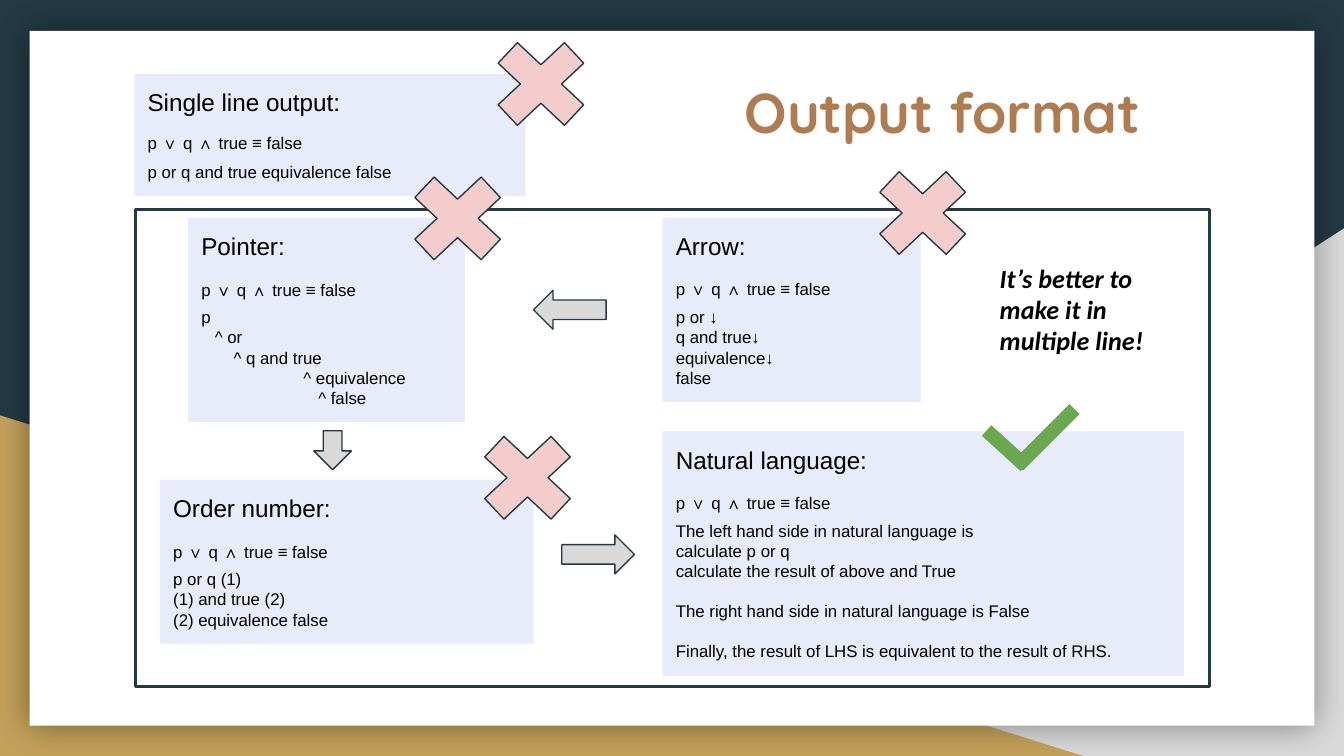
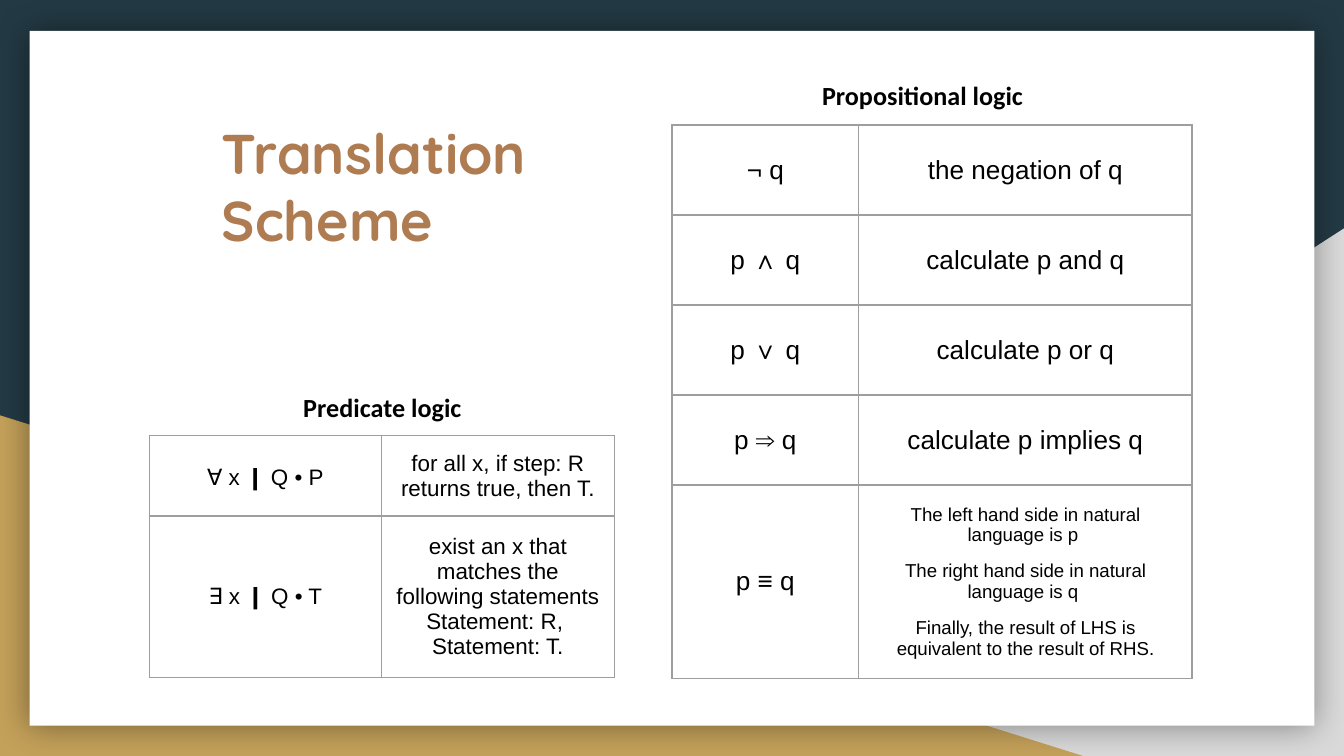
from dataclasses import dataclass
from typing import Optional

import pptx
import pptx.dml.color
import pptx.enum.shapes
import pptx.enum.text
import pptx.oxml
import pptx.oxml.ns
import pptx.util

Inches = pptx.util.Inches
Pt = pptx.util.Pt
Shape = pptx.enum.shapes.MSO_SHAPE
Align = pptx.enum.text.PP_ALIGN
Anchor = pptx.enum.text.MSO_ANCHOR

PAGE_WIDTH = 10
PAGE_HEIGHT = PAGE_WIDTH * 9 / 16
NAVY, GOLD, GREY, WHITE, BLACK = "233A44", "C4A15A", "D9D9D9", "FFFFFF", "000000"
BROWN, LILAC, PINK, GREEN, BORDER = "AF7B51", "E8EBFA", "F4CCCC", "6AA84F", "9E9E9E"
FORMULA = "p ∨ q ∧ true ≡ false"


@dataclass
class Font:
    name: str
    size: float
    color: str = BLACK
    bold: bool = False
    italic: bool = False


@dataclass
class Line:
    text: str
    font: Font
    before: float = 0
    spacing: float = 1
    indent: float = 0


@dataclass
class Box:
    left: float
    top: float
    width: float
    height: float

    def lengths(self) -> list:
        return [Inches(v) for v in (self.left, self.top, self.width, self.height)]


@dataclass
class Card:
    box: Box
    heading: str
    details: list  # (text, indent in inches, space before in points)
    formula_gap: float = 8.5


@dataclass
class Grid:
    caption: str
    caption_box: Box
    left: float
    top: float
    columns: list
    heights: list
    font: Font
    rows: list  # each cell is a list of lines of text


TITLE = Font("Quicksand", 30, BROWN, bold=True)
HEADING = Font("Arial", 13)
DETAIL = Font("Arial", 9)
CAPTION = Font("Calibri", 14, bold=True)
REMARK = Font("Calibri", 14, bold=True, italic=True)
SMALL = Font("Arial", 10)


def rgb(color: str):
    return pptx.dml.color.RGBColor.from_string(color)


# Text
def write(frame, lines: list, align=Align.LEFT) -> None:
    for number, line in enumerate(lines):
        para = frame.paragraphs[0] if number == 0 else frame.add_paragraph()
        para.alignment = align
        para.space_before = Pt(line.before)
        para.line_spacing = line.spacing
        if line.indent:
            para._p.get_or_add_pPr().set("marL", str(Inches(line.indent)))
        span = para.add_run()
        span.text = line.text
        font = span.font
        font.name, font.size = line.font.name, Pt(line.font.size)
        font.bold, font.italic = line.font.bold, line.font.italic
        font.color.rgb = rgb(line.font.color)


def set_frame(frame) -> None:
    frame.word_wrap = True
    frame.auto_size = pptx.enum.text.MSO_AUTO_SIZE.NONE
    frame.vertical_anchor = Anchor.TOP
    frame.margin_left = frame.margin_right = Inches(0.1)
    frame.margin_top = frame.margin_bottom = Inches(0.1)


def add_text(page, box: Box, lines: list, align=Align.LEFT) -> None:
    frame = page.shapes.add_textbox(*box.lengths()).text_frame
    set_frame(frame)
    write(frame, lines, align)


def set_title(page, box: Box, text: str) -> None:
    title = page.shapes.title
    title.left, title.top, title.width, title.height = box.lengths()
    set_frame(title.text_frame)
    write(title.text_frame, [Line(text, TITLE)])


# Shapes
def add_shape(page, kind, box: Box, fill: Optional[str] = None,
              line_width: float = 0, rotation: float = 0):
    shape = page.shapes.add_shape(kind, *box.lengths())
    shape.shadow.inherit = False
    shape.rotation = rotation
    if fill:
        shape.fill.solid()
        shape.fill.fore_color.rgb = rgb(fill)
    else:
        shape.fill.background()
    if line_width:
        shape.line.color.rgb = rgb(NAVY)
        shape.line.width = Pt(line_width)
    else:
        shape.line.fill.background()
    return shape


def add_card(page, card: Card) -> None:
    frame = add_shape(page, Shape.RECTANGLE, card.box, LILAC).text_frame
    set_frame(frame)
    lines = [Line(card.heading, HEADING), Line(FORMULA, DETAIL, card.formula_gap, 1.15)]
    lines += [Line(text, DETAIL, before, indent=indent)
              for text, indent, before in card.details]
    write(frame, lines)


# Backdrop shared by all slides, kept in the layout
def build_backdrop(layout, page) -> None:
    layout.background.fill.solid()
    layout.background.fill.fore_color.rgb = rgb(NAVY)
    right = add_shape(page, Shape.RIGHT_TRIANGLE,
                      Box(3.92, 1.7, 6.08, PAGE_HEIGHT - 1.7), GREY)
    right._element.spPr.find(pptx.oxml.ns.qn("a:xfrm")).set("flipH", "1")
    left = add_shape(page, Shape.RIGHT_TRIANGLE,
                     Box(0, 3.09, 8.06, PAGE_HEIGHT - 3.09), GOLD)
    sheet = add_shape(page, Shape.RECTANGLE, Box(0.22, 0.23, 9.56, 5.17), WHITE)
    effects = sheet._element.spPr.find(pptx.oxml.ns.qn("a:effectLst"))
    effects.append(pptx.oxml.parse_xml(
        f'<a:outerShdw {pptx.oxml.ns.nsdecls("a")} blurRad="{Pt(18)}" dist="0">'
        f'<a:srgbClr val="{BLACK}"><a:alpha val="40000"/></a:srgbClr></a:outerShdw>'))
    for number, shape in enumerate((right, left, sheet)):
        shape._element.nvSpPr.cNvPr.set("id", str(100 + number))
        layout.shapes._spTree.insert(2 + number, shape._element)


# Tables
def set_borders(cell) -> None:
    properties = cell._tc.get_or_add_tcPr()
    for number, side in enumerate(("lnL", "lnR", "lnT", "lnB")):
        properties.insert(number, pptx.oxml.parse_xml(
            f'<a:{side} {pptx.oxml.ns.nsdecls("a")} w="{Pt(0.75)}"><a:solidFill>'
            f'<a:srgbClr val="{BORDER}"/></a:solidFill></a:{side}>'))


def add_grid(page, grid: Grid) -> None:
    add_text(page, grid.caption_box, [Line(grid.caption, CAPTION)], Align.CENTER)
    box = Box(grid.left, grid.top, sum(grid.columns), sum(grid.heights))
    table = page.shapes.add_table(
        len(grid.rows), len(grid.columns), *box.lengths()).table
    table.first_row = table.horz_banding = False
    for column, width in zip(table.columns, grid.columns):
        column.width = Inches(width)
    for row, height, texts in zip(table.rows, grid.heights, grid.rows):
        row.height = Inches(height)
        for cell, lines in zip(row.cells, texts):
            cell.fill.background()
            cell.vertical_anchor = Anchor.MIDDLE
            cell.margin_left = cell.margin_right = Inches(0.1)
            cell.margin_top = cell.margin_bottom = Inches(0.1)
            set_borders(cell)
            write(cell.text_frame, [
                line if isinstance(line, Line) else Line(line, grid.font)
                for line in lines], Align.CENTER)


# Slide contents
CARDS = [
    Card(Box(1, 0.55, 2.91, 0.91), "Single line output:",
         [("p or q and true equivalence false", 0, 4.5)], formula_gap=7),
    Card(Box(4.93, 1.62, 1.92, 1.37), "Arrow:",
         [("p or ↓", 0, 4), ("q and true↓", 0, 0), ("equivalence↓", 0, 0),
          ("false", 0, 0)]),
    Card(Box(1.4, 1.62, 2.06, 1.52), "Pointer:",
         [("p", 0, 4), ("^ or", 0.1, 0), ("^ q and true", 0.24, 0),
          ("^ equivalence", 0.76, 0), ("^ false", 0.87, 0)]),
    Card(Box(1.19, 3.57, 2.78, 1.22), "Order number:",
         [("p or q (1)", 0, 4), ("(1) and true (2)", 0, 0),
          ("(2) equivalence false", 0, 0)]),
    Card(Box(4.93, 3.21, 3.88, 1.82), "Natural language:",
         [("The left hand side in natural language is", 0, 4),
          ("calculate p or q", 0, 0),
          ("calculate the result of above and True", 0, 0),
          ("The right hand side in natural language is False", 0, 10.5),
          ("Finally, the result of LHS is equivalent to the result of RHS.", 0, 10.5)]),
]
ARROWS = [(Box(3.97, 2.16, 0.54, 0.29), 0), (Box(2.33, 3.21, 0.29, 0.28), 270),
          (Box(4.18, 3.98, 0.54, 0.29), 180)]
CROSSES = [(3.55, 0.18), (6.39, 1.14), (2.93, 1.18), (3.45, 3.11)]
CHECK_STROKES = [(Box(7.22, 3.11, 0.53, 0.45), 42.3), (Box(7.38, 3.03, 0.81, 0.45), 135)]

GRIDS = [
    Grid("Propositional logic", Box(5.96, 0.49, 1.81, 0.44), 5, 0.93,
         [1.39, 2.48], [0.67] * 4 + [1.44], Font("Arial", 14), [
             [["¬ q"], ["the negation of q"]],
             [["p ∧ q"], ["calculate p and q"]],
             [["p ∨ q"], ["calculate p or q"]],
             [["p ⇒ q"], ["calculate p implies q"]],
             [["p ≡ q"], [
                 Line("The left hand side in natural language is p ", SMALL),
                 Line("The right hand side in natural language is q ", SMALL, 8),
                 Line("Finally, the result of LHS is equivalent to the result of RHS.",
                      SMALL, 8)]],
         ]),
    Grid("Predicate logic", Box(1.94, 2.81, 1.81, 0.44), 1.11, 3.24,
         [1.73, 1.73], [0.6, 1.2], Font("Arial", 12), [
             [[Line("∀ x ❙ Q • P", Font("Arial", 12), spacing=1.15)],
              ["for all x, if step: R returns true, then T."]],
             [["∃ x ❙ Q • T"], ["exist an x that matches the following statements ",
                                "Statement: R, ", "Statement: T."]],
         ]),
]


def build_output_format(page) -> None:
    add_shape(page, Shape.RECTANGLE, Box(1.01, 1.56, 7.99, 3.55), line_width=1.5)
    set_title(page, Box(5.44, 0.48, 4.72, 0.83), "Output format")
    for card in CARDS:
        add_card(page, card)
    for box, rotation in ARROWS:
        add_shape(page, Shape.LEFT_ARROW, box, GREY, 0.75, rotation)
    add_text(page, Box(7.34, 1.85, 1.28, 0.91),
             [Line("It’s better to", REMARK), Line("make it in multiple line!", REMARK)])
    for left, top in CROSSES:
        add_shape(page, Shape.MATH_MULTIPLY, Box(left, top, 0.95, 0.89), PINK, 0.75)
    for box, rotation in CHECK_STROKES:
        add_shape(page, Shape.MATH_MINUS, box, GREEN, rotation=rotation)


def build_translation_scheme(page) -> None:
    set_title(page, Box(1.55, 0.78, 2.59, 1.21), "Translation Scheme")
    for grid in GRIDS:
        add_grid(page, grid)


def main() -> None:
    deck = pptx.Presentation()
    deck.slide_width, deck.slide_height = Inches(PAGE_WIDTH), Inches(PAGE_HEIGHT)
    layout = deck.slide_layouts.get_by_name("Title Only")
    first, second = (deck.slides.add_slide(layout) for _ in range(2))
    build_backdrop(layout, first)
    build_output_format(first)
    build_translation_scheme(second)
    deck.save("out.pptx")


if __name__ == "__main__":
    main()
